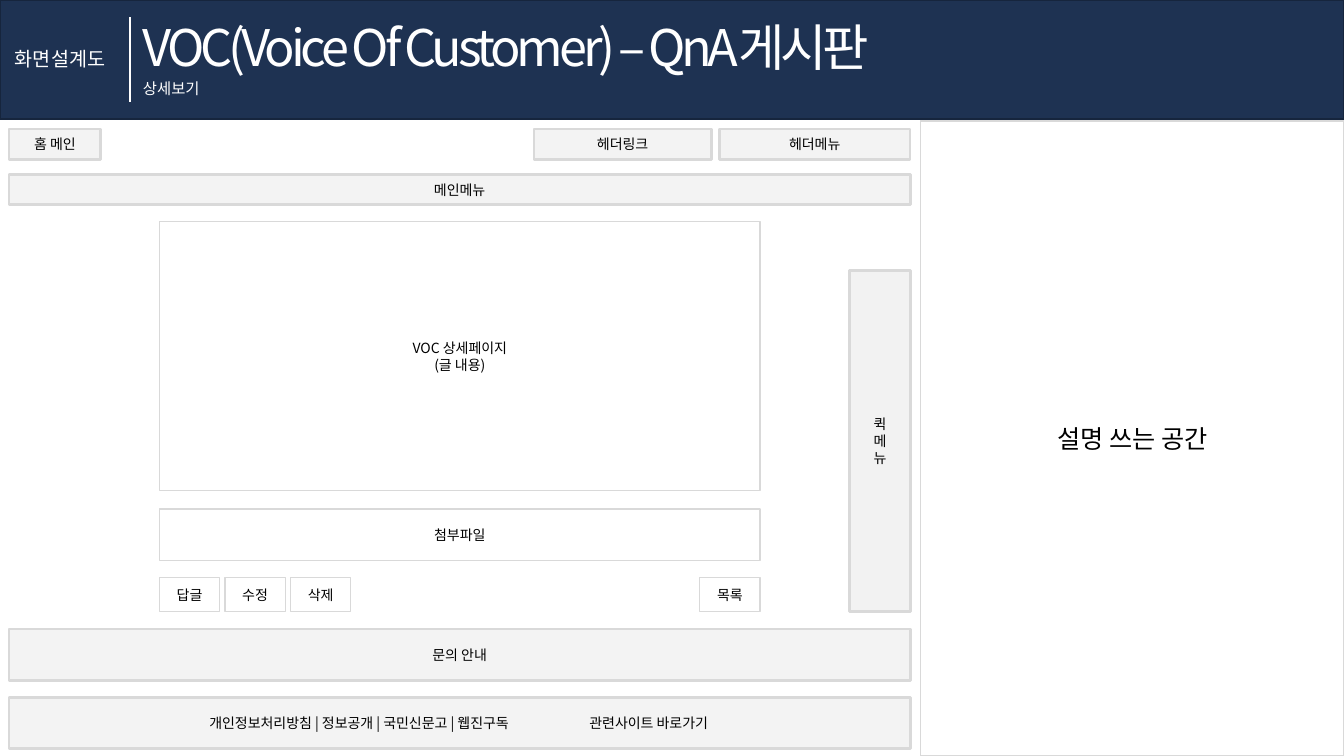
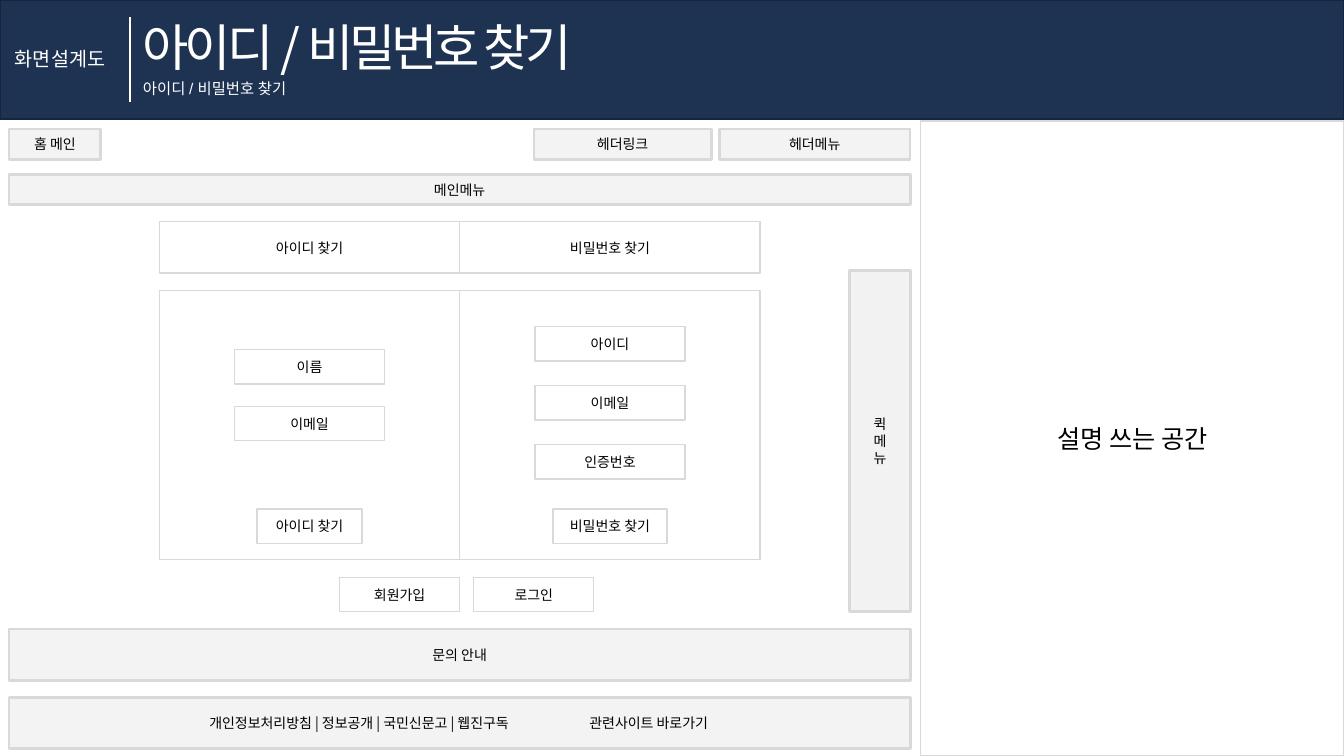
from dataclasses import dataclass

from lxml import etree
from pptx import Presentation
from pptx.dml.color import RGBColor
from pptx.enum import shapes, text
from pptx.oxml import ns
from pptx.util import Pt


@dataclass(frozen=True)
class Theme:
    navy: str = "1E3252"
    navy_edge: str = "16253D"
    white: str = "FFFFFF"
    black: str = "000000"
    grey: str = "D9D9D9"
    dark_grey: str = "BFBFBF"
    font: str = "Noto Sans CJK KR"
    sub_font: str = "Arial"
    title: int = 36
    note: int = 18
    tag: int = 14
    sub: int = 11
    body: int = 10


T = Theme()


def write(tf, words, size, color, font=T.font, align=text.PP_ALIGN.LEFT, spacing=0):
    tf.text = words
    for p in tf.paragraphs:
        p.alignment = align
        for r in p.runs:
            r.font.size = Pt(size)
            r.font.name = font
            r.font.color.rgb = RGBColor.from_string(color)
            rpr = r.font._element
            etree.SubElement(rpr, ns.qn("a:ea")).set("typeface", T.font)
            if spacing:
                rpr.set("spc", str(spacing * 100))


def box(s, x, y, w, h, words="", fill=T.white, opacity=100, line=T.grey, weight=1,
        size=T.body):
    sp = s.shapes.add_shape(shapes.MSO_SHAPE.RECTANGLE, Pt(x), Pt(y), Pt(w), Pt(h))
    sp.shadow.inherit = False
    sp.fill.solid()
    sp.fill.fore_color.rgb = RGBColor.from_string(fill)
    if opacity < 100:
        color = sp.element.spPr.find(ns.qn("a:solidFill"))[0]
        etree.SubElement(color, ns.qn("a:alpha")).set("val", str(opacity * 1000))
    sp.line.color.rgb = RGBColor.from_string(line)
    sp.line.width = Pt(weight)
    if words:
        sp.text_frame.vertical_anchor = text.MSO_ANCHOR.MIDDLE
        write(sp.text_frame, words, size, T.black, align=text.PP_ALIGN.CENTER)
    return sp


prs = Presentation()
prs.slide_width, prs.slide_height = Pt(960), Pt(540)

# Page grid
LEFT, WIDTH = 6.5, 643.7
BODY_X, BODY_W, BODY_Y = 113.8, 429.2, 158.4
ROW_H, PANEL_H, BUTTON_H = 36.7, 192.2, 24.5
LOW_Y, BUTTON_Y = 363.6, 412.4

# Title, title width, subtitle, subtitle width
pages = [
    ("VOC(Voice Of Customer) – QnA게시판", 550.8, "상세보기", 59),
    ("아이디 / 비밀번호 찾기", 355, "아이디 / 비밀번호 찾기", 126),
]
frame_bars = [
    (LEFT, 92.2, 65.5, 21.6, "홈 메인"),
    (381.4, 92.2, 126.7, 21.6, "헤더링크"),
    (513.9, 92.2, 136.1, 21.6, "헤더메뉴"),
    (LEFT, 124.6, WIDTH, 21.6, "메인메뉴"),
    (LEFT, 449.3, WIDTH, ROW_H, "문의 안내"),
]

# Frame shared by both screens
for title, title_w, subtitle, subtitle_w in pages:
    s = prs.slides.add_slide(prs.slide_layouts[6])

    # Header band
    box(s, 0, 0, 960, 85, fill=T.navy, line=T.navy_edge)
    for x, y, w, h, words, size, font, spacing in [
        (95, 7.9, title_w, 51, title, T.title, T.font, -3),
        (3.6, 30.2, 85, 24.5, "화면설계도", T.tag, T.font, 0),
        (95, 53.3, subtitle_w, 20.9, subtitle, T.sub, T.sub_font, 0),
    ]:
        tf = s.shapes.add_textbox(Pt(x), Pt(y), Pt(w), Pt(h)).text_frame
        tf.word_wrap = False
        tf.auto_size = text.MSO_AUTO_SIZE.SHAPE_TO_FIT_TEXT
        write(tf, words, size, T.white, font, spacing=spacing)
    divider = s.shapes.add_connector(shapes.MSO_CONNECTOR.STRAIGHT,
                                     Pt(92.9), Pt(12.2), Pt(92.9), Pt(72.7))
    divider.line.color.rgb = RGBColor.from_string(T.white)
    divider.line.width = Pt(1.5)
    etree.SubElement(divider.element.spPr, ns.qn("a:effectLst"))

    # Description panel, menus and notice
    box(s, 657.4, 86.4, 302.6, 453.6, "설명 쓰는 공간", size=T.note)
    for x, y, w, h, words in frame_bars:
        box(s, x, y, w, h, words, fill=T.grey, opacity=30, weight=2)
    box(s, 607, 193, 43.2, 244.1, "퀵\n메\n뉴", fill=T.dark_grey, opacity=20, weight=2)

    # Footer links, with a tab stop before the related sites
    footer = box(s, LEFT, 498.2, WIDTH, ROW_H, fill=T.grey, opacity=30, weight=2)
    tf = footer.text_frame
    tf.vertical_anchor = text.MSO_ANCHOR.MIDDLE
    tf.margin_left = Pt(143)
    write(tf, "개인정보처리방침 | 정보공개 | 국민신문고 | 웹진구독\t관련사이트 바로가기",
          T.body, T.black)
    tabs = etree.SubElement(tf.paragraphs[0]._p.get_or_add_pPr(), ns.qn("a:tabLst"))
    etree.SubElement(tabs, ns.qn("a:tab"), pos=str(Pt(271.5)), algn="l")

detail, finder = prs.slides

# Detail page: post, attachment and buttons
box(detail, BODY_X, BODY_Y, BODY_W, PANEL_H, "VOC 상세페이지\n(글 내용)")
box(detail, BODY_X, LOW_Y, BODY_W, ROW_H, "첨부파일")
for i, words in enumerate(["답글", "수정", "삭제"]):
    box(detail, BODY_X + i * 46.8, BUTTON_Y, 43.2, BUTTON_H, words)
box(detail, BODY_X + BODY_W - 43.2, BUTTON_Y, 43.2, BUTTON_H, "목록")

# Account finder: one column per form
column_w, field_w = BODY_W / 2, 107.3
forms = [
    ("아이디 찾기", 74.9, 249.8, 40.5, ["이름", "이메일"]),
    ("비밀번호 찾기", 81.4, 233.3, 42.2, ["아이디", "이메일", "인증번호"]),
]
for i, (name, button_w, field_y, step, fields) in enumerate(forms):
    x = BODY_X + i * column_w
    center = x + column_w / 2
    box(finder, x, BODY_Y, column_w, ROW_H, name)
    box(finder, x, 207.4, column_w, PANEL_H)
    for j, words in enumerate(fields):
        box(finder, center - field_w / 2, field_y + j * step, field_w, BUTTON_H, words)
    box(finder, center - button_w / 2, LOW_Y, button_w, BUTTON_H, name)
for i, words in enumerate(["회원가입", "로그인"]):
    box(finder, 242.6 + i * 95.8, BUTTON_Y, 85.7, BUTTON_H, words)

prs.save("out.pptx")
